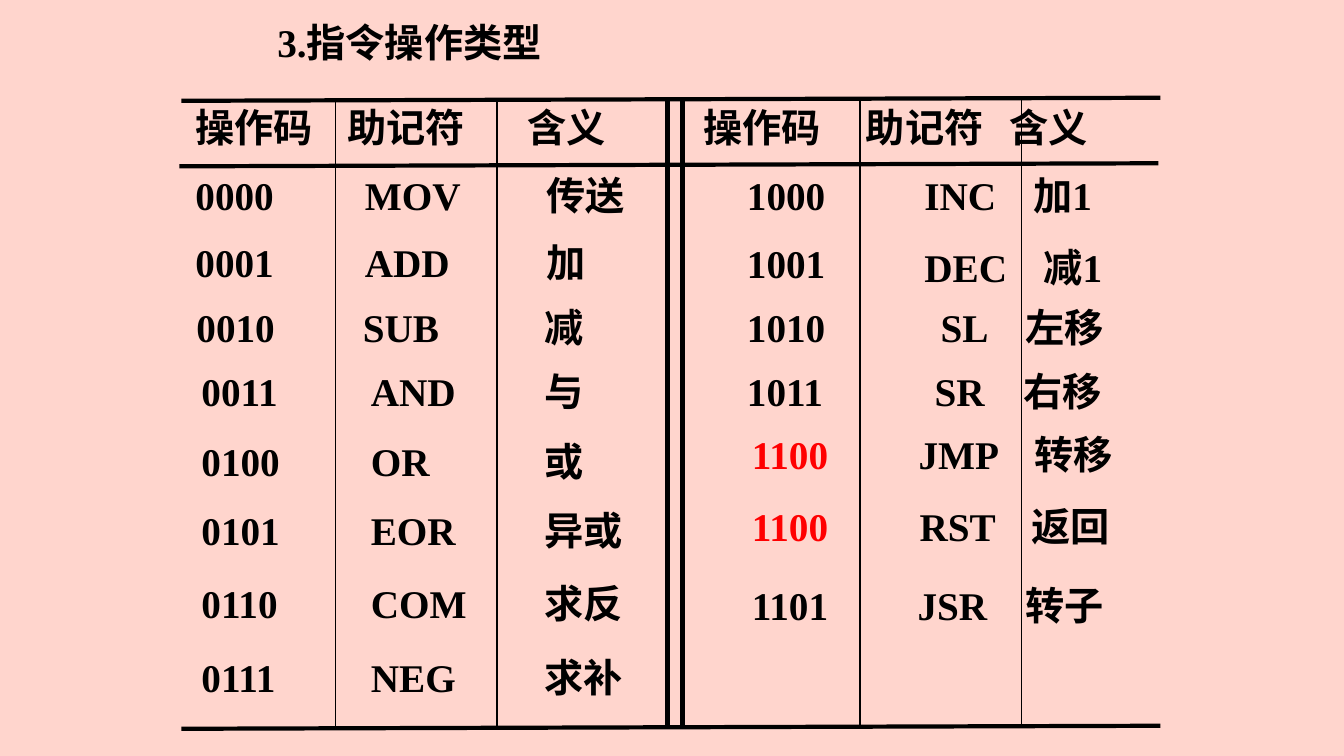
from dataclasses import dataclass

from lxml import etree
from pptx import Presentation
from pptx import util as u
from pptx.dml.color import RGBColor
from pptx.enum import shapes, text
from pptx.oxml.ns import qn


@dataclass(frozen=True)
class Theme:
    background: RGBColor = RGBColor(0xFF, 0xD5, 0xCD)
    ink: RGBColor = RGBColor(0, 0, 0)
    accent: RGBColor = RGBColor(0xFF, 0, 0)
    font: str = "Times New Roman"
    size: int = 28
    thick: int = 3
    thin: int = 1


class SlideBuilder:
    """Holds the theme and the current slide."""

    def __init__(self, prs, theme):
        self.theme = theme
        self.s = prs.slides.add_slide(prs.slide_layouts[5])
        fill = self.s.background.fill
        fill.solid()
        fill.fore_color.rgb = theme.background

    def set_text(self, sp, words, color=None, inset=0.1, tabs=()):
        tf = sp.text_frame
        frame_format = {
            "word_wrap": True,
            "auto_size": text.MSO_AUTO_SIZE.SHAPE_TO_FIT_TEXT,
            "vertical_anchor": text.MSO_ANCHOR.TOP,
            "margin_left": u.Inches(inset),
        }
        for name, value in frame_format.items():
            setattr(tf, name, value)
        p = tf.paragraphs[0]
        p.alignment = text.PP_ALIGN.LEFT
        if tabs:
            tab_list = etree.SubElement(p._p.get_or_add_pPr(), qn("a:tabLst"))
            for pos in tabs:
                etree.SubElement(tab_list, qn("a:tab"), pos=str(u.Inches(pos)), algn="l")
        r = p.add_run()
        r.text = words
        run_format = {"name": self.theme.font, "size": u.Pt(self.theme.size), "bold": True}
        for name, value in run_format.items():
            setattr(r.font, name, value)
        r.font.color.rgb = color or self.theme.ink

    def title(self, words, left, top, width, height=0.57):
        sp = self.s.shapes.title
        box = {"left": left, "top": top, "width": width, "height": height}
        for name, value in box.items():
            setattr(sp, name, u.Inches(value))
        self.set_text(sp, words)

    def label(self, words, left, top, width, height=0.57, **style):
        box = [u.Inches(v) for v in (left, top, width, height)]
        self.set_text(self.s.shapes.add_textbox(*box), words, **style)

    def rule(self, x1, y1, x2, y2, weight):
        ends = [u.Inches(v) for v in (x1, y1, x2, y2)]
        line = self.s.shapes.add_connector(shapes.MSO_CONNECTOR.STRAIGHT, *ends)
        line.line.color.rgb = self.theme.ink
        line.line.width = u.Pt(weight)
        etree.SubElement(line._element.spPr, qn("a:effectLst"))


HEADINGS = ["操作码", "助记符", "含义"] * 2
HEADING_TABS = (1.51, 3.29, 5.04, 6.65, 8.07)

# Left half: column positions shared by a run of rows, then top and cells
LEFT_WIDTHS = (1.78, 1.38, 1.7)
LEFT_ROWS = {
    (1.84, 3.52, 5.32): [(1.65, "0000", "MOV", "传送"), (2.32, "0001", "ADD", "加")],
    (1.85, 3.5, 5.3): [(2.96, "0010", "SUB", "减")],
    (1.9, 3.58, 5.3): [
        (3.59, "0011", "AND", "与"),
        (4.29, "0100", "OR", "或"),
        (4.97, "0101", "EOR", "异或"),
        (5.7, "0110", "COM", "求反"),
        (6.43, "0111", "NEG", "求补"),
    ],
}

# Right half: code top and left, code, operation top and left, inset, tab, operation
RIGHT_ROWS = [
    (1.65, 7.31, "1000", 1.65, 9.07, 0.1, 1.08, "INC\t加1"),
    (2.33, 7.31, "1001", 2.36, 9.07, 0.1, 1.18, "DEC\t减1"),
    (2.96, 7.31, "1010", 2.96, 9.1, 0.23, 0.84, "SL\t左移"),
    (3.59, 7.31, "1011", 3.59, 9.06, 0.21, 0.88, "SR\t右移"),
    (4.22, 7.36, "1100", 4.22, 8.99, 0.12, 1.15, "JMP\t转移"),
    (4.93, 7.36, "1100", 4.93, 8.99, 0.13, 1.11, "RST\t返回"),
    (5.72, 7.36, "1101", 5.72, 8.99, 0.11, 1.07, "JSR\t转子"),
]


def main():
    theme = Theme()
    prs = Presentation()
    prs.slide_width, prs.slide_height = u.Inches(13.33), u.Inches(7.5)
    page = SlideBuilder(prs, theme)

    # Title and column headings
    page.title("3.指令操作类型", 2.65, 0.13, 5.42)
    page.label("\t".join(HEADINGS), 1.84, 0.98, 9.71, tabs=HEADING_TABS)

    # Instructions 0000 to 0111
    for lefts, rows in LEFT_ROWS.items():
        for top, *cells in rows:
            for words, left, width in zip(cells, lefts, LEFT_WIDTHS):
                page.label(words, left, top, width)

    # Instructions from 1000, the shared code in the accent colour
    for top, left, code, op_top, op_left, inset, tab, operation in RIGHT_ROWS:
        color = theme.accent if code == "1100" else theme.ink
        page.label(code, left, top, 1.78, color=color)
        page.label(operation, op_left, op_top, 2.45, inset=inset, tabs=(tab,))

    # Horizontal rules, rising slightly to the right
    for left, top in ((1.8, 1), (1.78, 1.65), (1.8, 7.23)):
        page.rule(left, top, left + 9.71, top - 0.03, theme.thick)

    # Column rules, with a double one between the halves
    for weight, columns in (
        (theme.thin, (3.33, 4.93, 8.53, 10.13)),
        (theme.thick, (6.62, 6.77)),
    ):
        for x in columns:
            page.rule(x, 0.99, x, 7.22, weight)

    prs.save("out.pptx")


if __name__ == "__main__":
    main()
